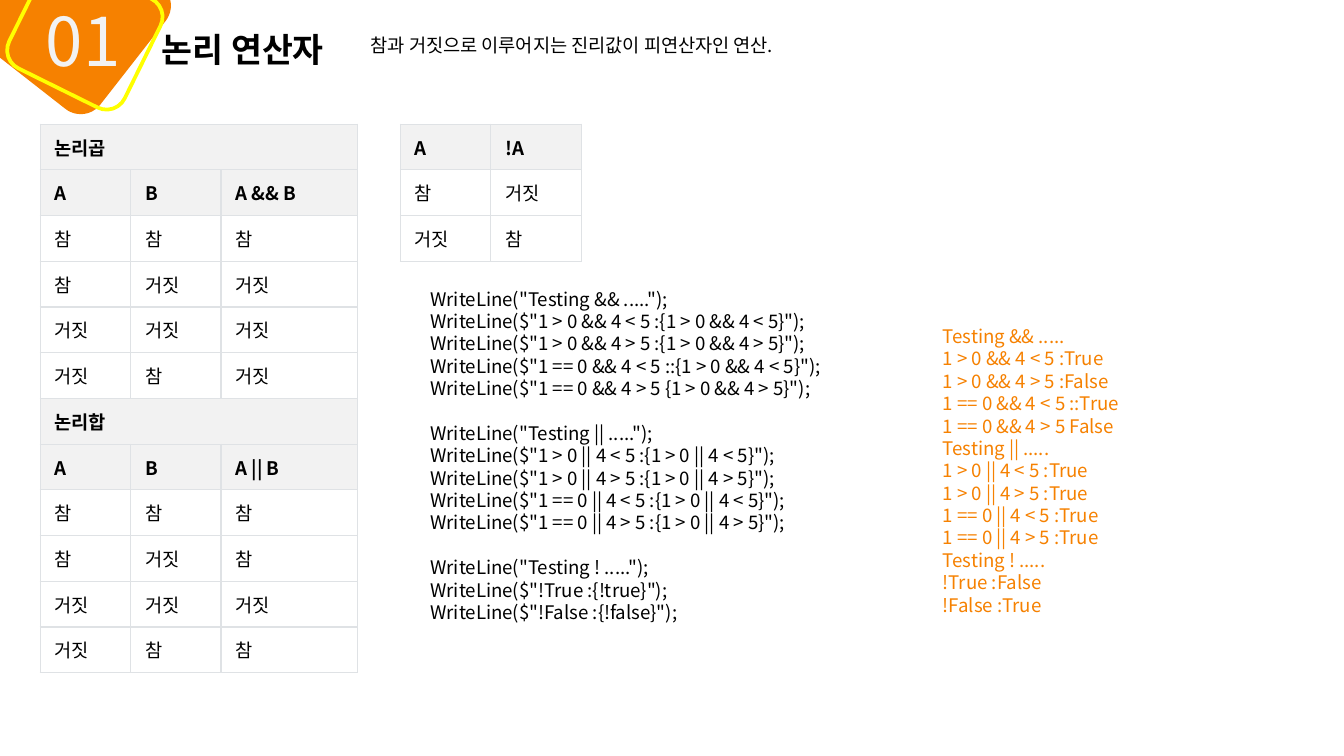
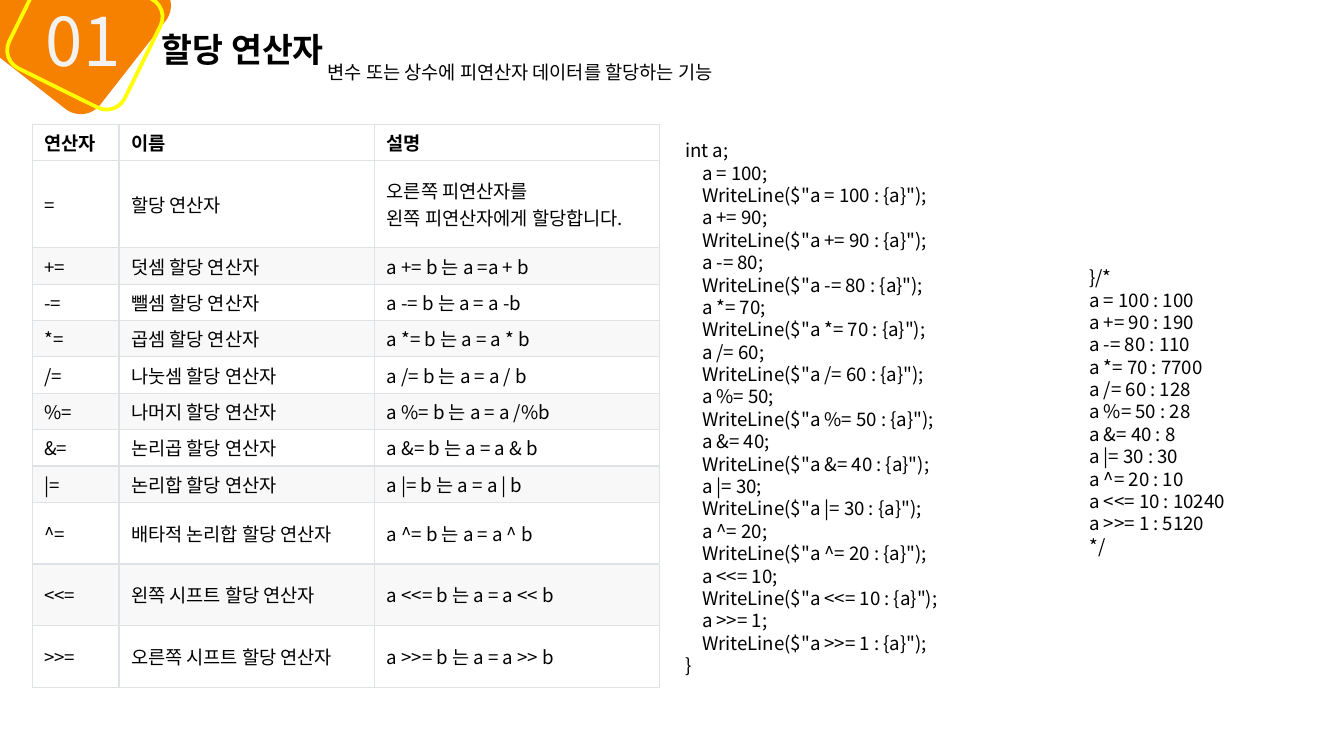
from lxml import etree
from pptx import Presentation
from pptx.dml.color import RGBColor
from pptx.enum.shapes import MSO_SHAPE
from pptx.enum.text import MSO_ANCHOR
from pptx.oxml.ns import qn
from pptx.util import Pt

ORANGE = RGBColor(0xF6, 0x81, 0x00)
YELLOW = RGBColor(0xFF, 0xFF, 0x00)
BLACK = RGBColor(0x00, 0x00, 0x00)
WHITE = RGBColor(0xFF, 0xFF, 0xFF)
PALE = RGBColor(0xF2, 0xF2, 0xF2)
BAND = RGBColor(0xF8, 0xF8, 0xF8)
RULE = RGBColor(0xDF, 0xE2, 0xE5)

PAIRS = [("참", "참"), ("참", "거짓"), ("거짓", "거짓"), ("거짓", "참")]

TESTS = [
    [
        'WriteLine("Testing && .....");',
        'WriteLine($"1 > 0 && 4 < 5 :{1 > 0 && 4 < 5}");',
        'WriteLine($"1 > 0 && 4 > 5 :{1 > 0 && 4 > 5}");',
        'WriteLine($"1 == 0 && 4 < 5 ::{1 > 0 && 4 < 5}");',
        'WriteLine($"1 == 0 && 4 > 5 {1 > 0 && 4 > 5}");',
    ],
    [
        'WriteLine("Testing || .....");',
        'WriteLine($"1 > 0 || 4 < 5 :{1 > 0 || 4 < 5}");',
        'WriteLine($"1 > 0 || 4 > 5 :{1 > 0 || 4 > 5}");',
        'WriteLine($"1 == 0 || 4 < 5 :{1 > 0 || 4 < 5}");',
        'WriteLine($"1 == 0 || 4 > 5 :{1 > 0 || 4 > 5}");',
    ],
    [
        'WriteLine("Testing ! .....");',
        'WriteLine($"!True :{!true}");',
        'WriteLine($"!False :{!false}");',
    ],
]

RESULTS = [
    "Testing && .....",
    "1 > 0 && 4 < 5 :True",
    "1 > 0 && 4 > 5 :False",
    "1 == 0 && 4 < 5 ::True",
    "1 == 0 && 4 > 5 False",
    "Testing || .....",
    "1 > 0 || 4 < 5 :True",
    "1 > 0 || 4 > 5 :True",
    "1 == 0 || 4 < 5 :True",
    "1 == 0 || 4 > 5 :True",
    "Testing ! .....",
    "!True :False",
    "!False :True",
]

ASSIGNS = [
    ("연산자", "이름", "설명"),
    ("=", "할당 연산자", "오른쪽 피연산자를\n왼쪽 피연산자에게 할당합니다."),
    ("+=", "덧셈 할당 연산자", "a += b 는 a =a + b"),
    ("-=", "뺄셈 할당 연산자", "a -= b 는 a = a -b"),
    ("*=", "곱셈 할당 연산자", "a *= b 는 a = a * b"),
    ("/=", "나눗셈 할당 연산자", "a /= b 는 a = a / b"),
    ("%=", "나머지 할당 연산자", "a %= b 는 a = a /%b"),
    ("&=", "논리곱 할당 연산자", "a &= b 는 a = a & b"),
    ("|=", "논리합 할당 연산자", "a |= b 는 a = a | b"),
    ("^=", "배타적 논리합 할당 연산자", "a ^= b 는 a = a ^ b"),
    ("<<=", "왼쪽 시프트 할당 연산자", "a <<= b 는 a = a << b"),
    (">>=", "오른쪽 시프트 할당 연산자", "a >>= b 는 a = a >> b"),
]

STEPS = [
    ("a = 100", 100), ("a += 90", 190), ("a -= 80", 110), ("a *= 70", 7700),
    ("a /= 60", 128), ("a %= 50", 28), ("a &= 40", 8), ("a |= 30", 30),
    ("a ^= 20", 10), ("a <<= 10", 10240), ("a >>= 1", 5120),
]


class Deck:
    font = "Noto Sans CJK KR"
    size = 10
    lead = Pt(12)
    indent = Pt(9)

    def __init__(self):
        self.show = Presentation()
        self.show.slide_width, self.show.slide_height = Pt(720), Pt(405)
        self.slide = None

    def page(self, title):
        """Start a slide with the numbered badge and its title."""
        self.slide = self.show.slides.add_slide(self.show.slide_layouts[6])
        badge = self.slide.shapes.add_group_shape().shapes
        self.tile(badge, (-2, -31, 83.5, 80), 308, fill=ORANGE)
        self.tile(badge, (13, -16.5, 65, 69), 296.3, line=YELLOW)
        self.text((17.5, 1, 62.5, 51), ["01"], PALE, 36, lead=0.9, home=badge)
        self.text((79.5, 14.5, 111.5, 29), [title], size=18, bold=True, lead=0.9)

    def tile(self, home, box, turn, fill=None, line=None):
        tile = home.add_shape(MSO_SHAPE.ROUNDED_RECTANGLE, *map(Pt, box))
        tile.rotation = turn
        tile.shadow.inherit = False
        if fill is None:
            tile.fill.background()
        else:
            tile.fill.solid()
            tile.fill.fore_color.rgb = fill
        if line is None:
            tile.line.fill.background()
        else:
            tile.line.color.rgb = line
            tile.line.width = Pt(2)

    def style(self, para, color=BLACK, size=size, bold=False):
        for run in para.runs:
            run.font.name = self.font
            run.font.size = Pt(size)
            run.font.bold = bold
            run.font.color.rgb = color
            props = run.font._element
            etree.SubElement(props, qn("a:ea")).set("typeface", self.font)

    def text(self, box, lines, color=BLACK, size=size, bold=False, lead=lead, home=None):
        home = self.slide.shapes if home is None else home
        frame = home.add_textbox(*map(Pt, box)).text_frame
        frame.word_wrap = True
        frame.text = "\n".join(lines)
        for para in frame.paragraphs:
            para.line_spacing = lead
            self.style(para, color, size, bold)
        return frame.paragraphs

    def shift(self, paras):
        """Indent lines of code by one level."""
        for para in paras:
            para._p.get_or_add_pPr().set("marL", str(self.indent))

    def edge(self, cell):
        """Draw the thin grey border on all four sides of a cell."""
        props = cell._tc.get_or_add_tcPr()
        for side in ("a:lnL", "a:lnR", "a:lnT", "a:lnB"):
            line = etree.SubElement(props, qn(side), w=str(Pt(0.75)))
            fill = etree.SubElement(line, qn("a:solidFill"))
            etree.SubElement(fill, qn("a:srgbClr"), val=str(RULE))

    def table(self, spot, cols, tall, rows, heads, shade, pad):
        """Rows of one entry span the table; shade gives the fill of a row."""
        place = (*spot, sum(cols), sum(tall))
        grid = self.slide.shapes.add_table(len(rows), len(cols), *map(Pt, place)).table
        for col, width in zip(grid.columns, cols):
            col.width = Pt(width)
        for r, row in enumerate(rows):
            grid.rows[r].height = Pt(tall[r])
            for c in range(len(cols)):
                cell = grid.cell(r, c)
                cell.vertical_anchor = MSO_ANCHOR.MIDDLE
                cell.margin_left = cell.margin_right = Pt(pad[0])
                cell.margin_top = cell.margin_bottom = Pt(pad[1])
                self.edge(cell)
                cell.fill.solid()
                cell.fill.fore_color.rgb = shade(r)
                if c < len(row):
                    cell.text_frame.text = row[c]
                    for para in cell.text_frame.paragraphs:
                        self.style(para, bold=r in heads)
            if len(row) == 1:
                grid.cell(r, 0).merge(grid.cell(r, len(cols) - 1))

    def truth(self, left, cols, rows, heads):
        self.table((left, 66.5), cols, [24.5] * len(rows), rows, heads,
                   lambda r: PALE if r in heads else WHITE, (7.75, 3.5))


def logic(deck):
    deck.page("논리 연산자")
    both = [(a, b, "참" if a == b == "참" else "거짓") for a, b in PAIRS]
    either = [(a, b, "참" if "참" in (a, b) else "거짓") for a, b in PAIRS]
    rows = [("논리곱",), ("A", "B", "A && B"), *both,
            ("논리합",), ("A", "B", "A || B"), *either]
    deck.truth(21.5, [48.5, 48.5, 73], rows, {0, 1, 6, 7})
    deck.truth(214.5, [48.5, 48.5], [("A", "!A"), *PAIRS[1::2]], {0})

    paras = deck.text((214.5, 150.5, 319, 213), sum(TESTS, []))
    deck.shift(paras)
    start = 0
    for block in TESTS[:-1]:
        start += len(block)
        paras[start].space_before = deck.lead
    deck.text((191.5, 14.5, 256.5, 19.5),
              ["참과 거짓으로 이루어지는 진리값이 피연산자인 연산."])
    deck.text((498, 170.5, 124, 165), RESULTS, ORANGE)


def assign(deck):
    deck.page("할당 연산자")
    tall = [19.5, 46.8] + [19.5] * 7 + [33.1] * 3
    deck.table((17.25, 66.5), [46.5, 137, 152.5], tall, ASSIGNS, {0},
               lambda r: BAND if r and r % 2 == 0 else WHITE, (6.5, 2.5))

    code = ["int a;"]
    for step, _ in STEPS:
        code += [f"{step};", f'WriteLine($"{step} : {{a}}");']
    paras = deck.text((360, 71, 217, 298), code + ["}"])
    deck.shift(paras[1:-1])
    deck.text((168.5, 29, 247.5, 19.5),
              ["변수 또는 상수에 피연산자 데이터를 할당하는 기능"])
    out = [f"{step} : {value}" for step, value in STEPS]
    deck.text((576.5, 139, 96.5, 177), ["}/*", *out, "*/"])


def main():
    deck = Deck()
    logic(deck)
    assign(deck)
    deck.show.save("out.pptx")


if __name__ == "__main__":
    main()
